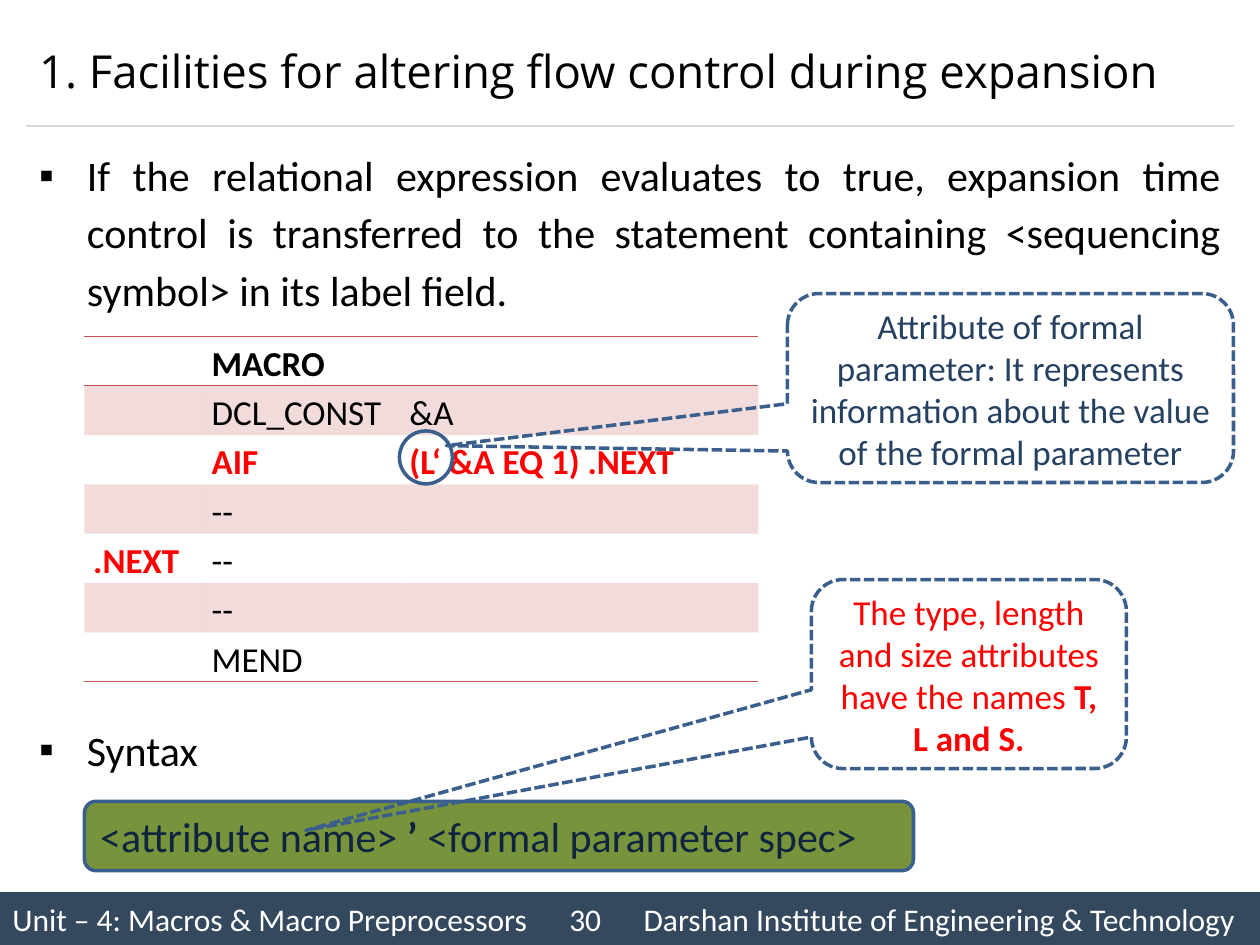
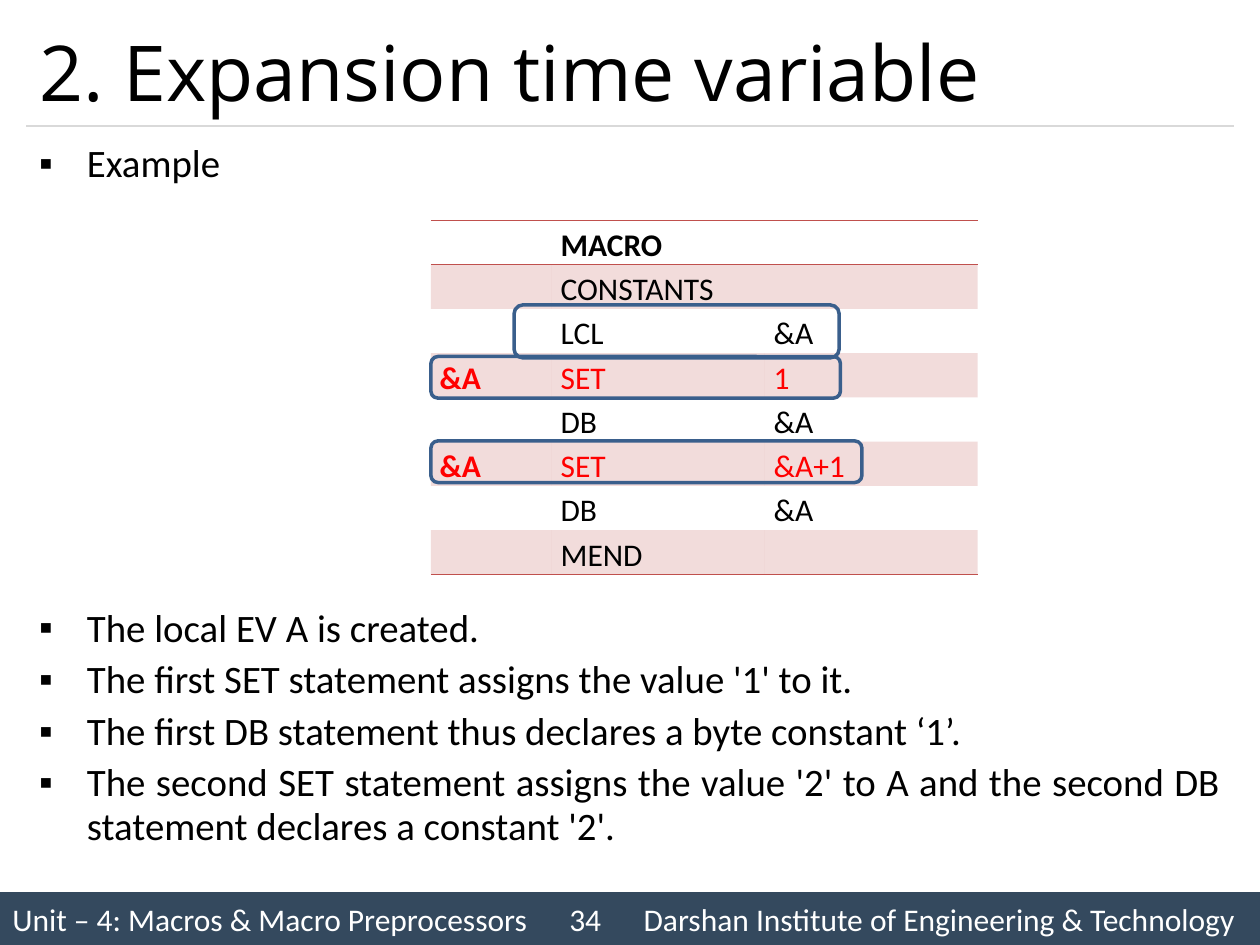
"""Build two lecture slides on macro expansion control."""
from typing import NamedTuple, Optional

from pptx import Presentation
from pptx import util as u
from pptx.dml.color import RGBColor
from pptx.enum import dml, shapes, text
from pptx.oxml import ns
from lxml import etree

COLORS = {
    "black": "000000", "white": "FFFFFF", "red": "FF0000", "band": "34495E",
    "rule": "D9D9D9", "table": "C0504D", "outline": "3A5F8C",
    "navy": "254061", "ink": "0F243E", "green": "77933C",
}
BODY_FONT, TITLE_FONT = "Calibri", "Open Sans"
MARGIN, CONTENT_WIDTH = 0.21, 9.58
NO_TABLE_STYLE = "{2D5ABB26-0587-4C30-8999-92F81FD0307C}"
UNIT = "Unit – 4: Macros & Macro Preprocessors"
INSTITUTE = "Darshan Institute of Engineering & Technology"


class Box(NamedTuple):
    left: float
    top: float
    width: float
    height: float

    def inches(self) -> list:
        return [u.Inches(length) for length in self]


class Bullet(NamedTuple):
    words: str
    space_before: float = 0


class CodeRow(NamedTuple):
    cells: tuple
    red: tuple = ()
    bold: tuple = ()
    merged: bool = False


class Listing(NamedTuple):
    left: float
    top: float
    columns: tuple
    row_height: float
    size: float
    rows: tuple


class Outline(NamedTuple):
    kind: shapes.MSO_SHAPE
    box: Box
    fill: Optional[str] = None
    pointer: tuple = ()


class Phrase(NamedTuple):
    words: str
    bold: bool = False


ROUNDED = shapes.MSO_SHAPE.ROUNDED_RECTANGLE
CALLOUT = shapes.MSO_SHAPE.ROUNDED_RECTANGULAR_CALLOUT


def rgb(name: str) -> RGBColor:
    return RGBColor.from_string(COLORS[name])


def add_element(parent, tag: str, **attributes: str):
    return etree.SubElement(parent, ns.qn(tag), attributes)


def set_font(font, size: float, color: str = "black", name: str = BODY_FONT) -> None:
    font.name, font.size = name, u.Pt(size)
    font.color.rgb = rgb(color)


def place(shape, box: Box) -> None:
    shape.left, shape.top, shape.width, shape.height = box.inches()


def add_footer(slide, number: int) -> None:
    band = slide.shapes.add_shape(shapes.MSO_SHAPE.RECTANGLE, *Box(0, 7.08, 10, 0.42).inches())
    band.shadow.inherit = False
    band.fill.solid()
    band.fill.fore_color.rgb = rgb("band")
    band.line.fill.background()
    band.text_frame.vertical_anchor = text.MSO_ANCHOR.MIDDLE
    line = band.text_frame.paragraphs[0]
    line.text = f"{UNIT}\t{number}\t{INSTITUTE}"
    line.alignment = text.PP_ALIGN.LEFT
    tabs = add_element(line._p.get_or_add_pPr(), "a:tabLst")
    for stop in (4.42, 5.01):
        add_element(tabs, "a:tab", pos=str(u.Inches(stop)), algn="l")
    set_font(line.font, 18, "white")


def add_title_rule(slide) -> None:
    ends = [u.Inches(length) for length in (MARGIN, 1, MARGIN + CONTENT_WIDTH, 1)]
    rule = slide.shapes.add_connector(shapes.MSO_CONNECTOR.STRAIGHT, *ends)
    rule.line.color.rgb = rgb("rule")
    rule.line.width = u.Pt(0.75)
    add_element(rule._element.spPr, "a:effectLst")


def add_lecture_slide(deck, number: int, heading: str, heading_size: float,
                      bullets: tuple, size: float, spacing: float):
    slide = deck.slides.add_slide(deck.slide_layouts[1])
    add_footer(slide, number)
    add_title_rule(slide)
    title, body = slide.placeholders
    place(title, Box(MARGIN, 0.12, CONTENT_WIDTH, 0.88))
    place(body, Box(MARGIN, 1.08, CONTENT_WIDTH, 5.83))
    for placeholder in (title, body):
        placeholder.text_frame.auto_size = text.MSO_AUTO_SIZE.NONE
    title.text_frame.vertical_anchor = text.MSO_ANCHOR.MIDDLE
    title.text_frame.text = heading
    heading_line = title.text_frame.paragraphs[0]
    heading_line.alignment = text.PP_ALIGN.LEFT
    set_font(heading_line.font, heading_size, name=TITLE_FONT)
    body.text_frame.text = "\n".join(bullet.words for bullet in bullets)
    for item, bullet in zip(body.text_frame.paragraphs, bullets):
        properties = item._p.get_or_add_pPr()
        properties.set("marL", str(u.Inches(0.38)))
        properties.set("indent", str(u.Inches(-0.38)))
        add_element(properties, "a:buChar", char="▪")
        item.alignment = text.PP_ALIGN.JUSTIFY
        item.line_spacing = spacing
        item.space_before = u.Pt(bullet.space_before)
        set_font(item.font, size)
    return slide


def add_border(cell, tag: str) -> None:
    border = etree.Element(ns.qn(tag), {"w": str(u.Pt(1))})
    add_element(add_element(border, "a:solidFill"), "a:srgbClr", val=COLORS["table"])
    cell._tc.get_or_add_tcPr().insert(0, border)


def fill_cell(cell, banded: bool) -> None:
    if not banded:
        cell.fill.background()
        return
    cell.fill.solid()
    cell.fill.fore_color.rgb = rgb("table")
    tint = cell._tc.tcPr.find(".//" + ns.qn("a:srgbClr"))
    add_element(tint, "a:alpha", val="20000")


def add_listing(slide, listing: Listing) -> None:
    count = len(listing.rows)
    box = Box(listing.left, listing.top, sum(listing.columns), listing.row_height * count)
    table = slide.shapes.add_table(count, len(listing.columns), *box.inches()).table
    table._tbl.tblPr.find(ns.qn("a:tableStyleId")).text = NO_TABLE_STYLE
    table.first_row = table.horz_banding = False
    for column, width in zip(table.columns, listing.columns):
        column.width = u.Inches(width)
    for r, row in enumerate(listing.rows):
        table.rows[r].height = u.Inches(listing.row_height)
        if row.merged:
            table.cell(r, 1).merge(table.cell(r, 2))
        for c, code in enumerate(row.cells):
            cell = table.cell(r, c)
            cell.margin_left = cell.margin_right = u.Inches(0.07)
            cell.margin_top = cell.margin_bottom = 0
            fill_cell(cell, r % 2 == 1)
            if r in (0, count - 1):
                add_border(cell, "a:lnB")
            if r == 0:
                add_border(cell, "a:lnT")
            if code:
                cell.text = code
                line = cell.text_frame.paragraphs[0]
                line.alignment = text.PP_ALIGN.JUSTIFY
                line.line_spacing = 1.15
                set_font(line.font, listing.size, "red" if c in row.red else "black")
                line.font.bold = c in row.bold


def add_outline(slide, outline: Outline):
    shape = slide.shapes.add_shape(outline.kind, *outline.box.inches())
    shape.shadow.inherit = False
    if outline.fill:
        shape.fill.solid()
        shape.fill.fore_color.rgb = rgb(outline.fill)
    else:
        shape.fill.background()
    shape.line.color.rgb = rgb("outline")
    shape.line.width = u.Pt(2)
    if outline.pointer:
        shape.line.dash_style = dml.MSO_LINE.SQUARE_DOT
        for index, offset in enumerate(outline.pointer):
            shape.adjustments[index] = offset
    return shape


def write_phrases(shape, phrases: tuple, size: float, color: str, align) -> None:
    shape.text_frame.word_wrap = True
    shape.text_frame.vertical_anchor = text.MSO_ANCHOR.MIDDLE
    line = shape.text_frame.paragraphs[0]
    line.alignment = align
    set_font(line.font, size, color)
    for phrase in phrases:
        run = line.add_run()
        run.text = phrase.words
        run.font.bold = phrase.bold


def build_flow_control(deck) -> None:
    bullets = (
        Bullet("If the relational expression evaluates to true, expansion time control is "
               "transferred to the statement containing <sequencing symbol> in its label field."),
        Bullet("Syntax", 230),
    )
    slide = add_lecture_slide(
        deck, 30, "1. Facilities for altering flow control during expansion", 26, bullets, 24, 1.14)
    add_listing(slide, Listing(0.67, 2.67, (0.94, 1.57, 2.84), 0.39, 20, (
        CodeRow(("", "MACRO", ""), bold=(1,)),
        CodeRow(("", "DCL_CONST", "&A")),
        CodeRow(("", "AIF", "(L‘ &A EQ 1) .NEXT"), red=(1, 2), bold=(1, 2)),
        CodeRow(("", "--", "")),
        CodeRow((".NEXT", "--", ""), red=(0,), bold=(0,)),
        CodeRow(("", "--", "")),
        CodeRow(("", "MEND", "")),
    )))
    add_outline(slide, Outline(shapes.MSO_SHAPE.OVAL, Box(3.17, 3.42, 0.42, 0.42)))
    attribute_note = add_outline(
        slide, Outline(CALLOUT, Box(6.25, 2.33, 3.54, 1.5), pointer=(-1.265, 0.305)))
    write_phrases(attribute_note, (
        Phrase("Attribute of formal parameter: It represents information about "
               "the value of the formal parameter"),), 20, "navy", text.PP_ALIGN.CENTER)
    syntax = add_outline(slide, Outline(ROUNDED, Box(0.67, 6.36, 6.58, 0.55), "green"))
    write_phrases(syntax, (
        Phrase("<attribute name>"), Phrase(" ’ ", True), Phrase("<formal parameter spec>"),
    ), 24, "ink", text.PP_ALIGN.LEFT)
    names_note = add_outline(
        slide, Outline(CALLOUT, Box(6.44, 4.6, 2.5, 1.5), pointer=(-2.105, 0.827)))
    write_phrases(names_note, (
        Phrase("The type, length and size attributes have the names "),
        Phrase("T, L and S.", True),
    ), 20, "red", text.PP_ALIGN.CENTER)


def build_expansion_variable(deck) -> None:
    bullets = (
        Bullet("Example"),
        Bullet("The local EV A is created.", 240.5),
        Bullet("The first SET statement assigns the value '1' to it.", 4.4),
        Bullet("The first DB statement thus declares a byte constant ‘1’.", 4.4),
        Bullet("The second SET statement assigns the value '2' to A and the second DB "
               "statement declares a constant '2'.", 4.4),
    )
    slide = add_lecture_slide(deck, 34, "2. Expansion time variable", 44, bullets, 22.2, 0.94)
    declare = CodeRow(("", "DB", "&A"))
    add_listing(slide, Listing(3.42, 1.75, (0.96, 1.69, 1.69), 0.35, 18, (
        CodeRow(("", "MACRO", ""), bold=(1,), merged=True),
        CodeRow(("", "CONSTANTS", ""), merged=True),
        CodeRow(("", "LCL", "&A")),
        CodeRow(("&A", "SET", "1"), red=(0, 1, 2), bold=(0,)),
        declare,
        CodeRow(("&A", "SET", "&A+1"), red=(0, 1, 2), bold=(0,)),
        declare,
        CodeRow(("", "MEND", "")),
    )))
    for highlight in (Box(4.08, 2.42, 2.58, 0.42), Box(3.42, 2.83, 3.25, 0.33),
                      Box(3.42, 3.5, 3.42, 0.33)):
        add_outline(slide, Outline(ROUNDED, highlight))


def main() -> None:
    deck = Presentation()
    deck.slide_width, deck.slide_height = u.Inches(10), u.Inches(7.5)
    build_flow_control(deck)
    build_expansion_variable(deck)
    deck.save("out.pptx")


if __name__ == "__main__":
    main()
